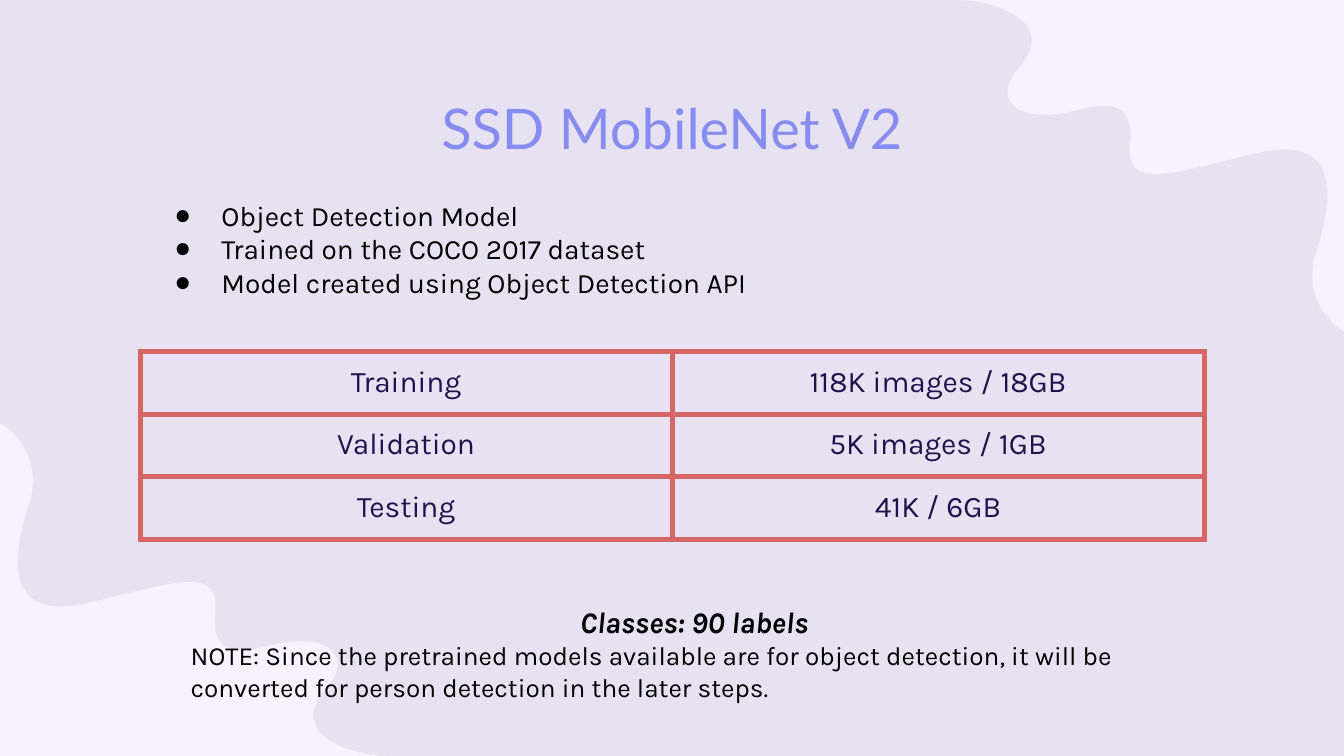
"""Build a slide on the SSD MobileNet V2 model, on a square grid 100 columns wide."""
import dataclasses
import typing

import lxml.etree
import pptx
import pptx.dml.color
import pptx.enum.text
import pptx.oxml.ns
import pptx.util

COLS, ROWS = 100, 56.25
UNIT = pptx.util.Inches(0.1)
HUES = {"ground": "E7E2F2", "wave": "F6F2FF", "title": "878CF0",
        "ink": "000000", "cell": "20124D", "rule": "D66565"}
ALIGN = pptx.enum.text.PP_ALIGN
Point = tuple[float, float]
Part = list[Point]


@dataclasses.dataclass
class Box:
    left: float
    top: float
    width: float
    height: float

    def spans(self) -> list[int]:
        return [round(n * UNIT) for n in (self.left, self.top, self.width, self.height)]


@dataclasses.dataclass
class Style:
    size: float
    hue: str = "ink"
    font: str = "Karla"
    strong: bool = False
    align: typing.Any = ALIGN.LEFT
    bullet: str = ""


class Line(typing.NamedTuple):
    text: str
    style: Style


TITLE = Style(30, "title", "Lato", align=ALIGN.CENTER)
POINT = Style(15, bullet="●")
CELL = Style(16, "cell", align=ALIGN.CENTER)
COUNT = Style(16, strong=True, align=ALIGN.CENTER)
NOTE = Style(14)

FACTS = [Line(text, POINT) for text in (
    "Object Detection Model",
    "Trained on the COCO 2017 dataset",
    "Model created using Object Detection API")]
NOTES = [
    Line("Classes: 90 labels", COUNT),
    Line("NOTE: Since the pretrained models available are for object detection, "
         "it will be converted for person detection in the later steps.", NOTE)]
SPLITS = [("Training", "118K images / 18GB"),
          ("Validation", "5K images / 1GB"),
          ("Testing", "41K / 6GB")]

START = (2.2, 37.4)
WAVE = [
    [START],
    [(1.2, 40.4), (-0.3, 46.4), (6.4, 44.9)],
    [(13.2, 43.3), (16.4, 42), (16, 45.7)],
    [(15.7, 49.1), (18.2, 48.5), (20.2, 48)],
    [(21.7, 47.6), (24.4, 47.4), (25, 48.9)],
    [(25.3, 49.4), (25.1, 50.3), (24.1, 51.4)],
    [(21.4, 54.7), (26.3, ROWS), (28.7, ROWS)],
    [(0, ROWS)],
    [(0, 31.5)],
    [(0, 31.5), (3.4, 33.4), START],
]


def tint(hue: str) -> pptx.dml.color.RGBColor:
    return pptx.dml.color.RGBColor.from_string(HUES[hue])


def add_node(node: typing.Any, tag: str, **attrs: str) -> typing.Any:
    return lxml.etree.SubElement(node, pptx.oxml.ns.qn(tag), **attrs)


def bend(shape: typing.Any, parts: list[Part]) -> None:
    edges = list(shape._element.iter(pptx.oxml.ns.qn("a:lnTo")))
    for edge, part in zip(edges, parts):
        if len(part) == 3:
            curve = add_node(edge.getparent(), "a:cubicBezTo")
            for x, y in part:
                add_node(curve, "a:pt", x=str(round(x * UNIT) - shape.left),
                         y=str(round(y * UNIT) - shape.top))
            edge.getparent().replace(edge, curve)


def draw_wave(slide: typing.Any, parts: list[Part]) -> None:
    ends = [tuple(round(n * UNIT) for n in part[-1]) for part in parts]
    pen = slide.shapes.build_freeform(*ends[0])
    pen.add_line_segments(ends[1:], close=True)
    shape = pen.convert_to_shape()
    bend(shape, parts[1:])
    shape.shadow.inherit = False
    shape.fill.solid()
    shape.fill.fore_color.rgb = tint("wave")
    shape.line.fill.background()


def add_mark(para: typing.Any, style: Style) -> None:
    props = para._p.get_or_add_pPr()
    props.set("marL", str(pptx.util.Inches(0.5)))
    props.set("indent", str(pptx.util.Inches(-0.35)))
    add_node(add_node(props, "a:buClr"), "a:srgbClr", val=HUES[style.hue])
    add_node(props, "a:buFont", typeface="Arial")
    add_node(props, "a:buChar", char=style.bullet)


def write(frame: typing.Any, lines: list[Line]) -> None:
    for index, (text, style) in enumerate(lines):
        para = frame.add_paragraph() if index else frame.paragraphs[0]
        para.alignment = style.align
        if style.bullet:
            add_mark(para, style)
        run = para.add_run()
        run.text = text
        font = run.font
        font.name, font.size = style.font, pptx.util.Pt(style.size)
        font.bold = font.italic = style.strong
        font.color.rgb = tint(style.hue)


def set_frame(shape: typing.Any, lines: list[Line]) -> None:
    frame = shape.text_frame
    frame.word_wrap = True
    frame.auto_size = pptx.enum.text.MSO_AUTO_SIZE.NONE
    frame.vertical_anchor = pptx.enum.text.MSO_ANCHOR.TOP
    frame.margin_left = frame.margin_right = UNIT
    frame.margin_top = frame.margin_bottom = UNIT
    write(frame, lines)


def draw_text(slide: typing.Any, box: Box, lines: list[Line]) -> None:
    set_frame(slide.shapes.add_textbox(*box.spans()), lines)


def rule_cell(cell: typing.Any) -> None:
    props = cell._tc.get_or_add_tcPr()
    for side in ("a:lnL", "a:lnR", "a:lnT", "a:lnB"):
        edge = add_node(props, side, w=str(pptx.util.Pt(3)))
        add_node(add_node(edge, "a:solidFill"), "a:srgbClr", val=HUES["rule"])
    cell.fill.background()


def draw_table(slide: typing.Any, box: Box, rows: list[tuple[str, str]]) -> None:
    table = slide.shapes.add_table(len(rows), len(rows[0]), *box.spans()).table
    table.first_row = table.horz_banding = False
    for r, row in enumerate(rows):
        for c, text in enumerate(row):
            cell = table.cell(r, c)
            cell.margin_left = cell.margin_right = UNIT
            cell.margin_top = cell.margin_bottom = UNIT
            rule_cell(cell)
            write(cell.text_frame, [Line(text, CELL)])


def main() -> None:
    deck = pptx.Presentation()
    deck.slide_width, deck.slide_height = COLS * UNIT, round(ROWS * UNIT)
    slide = deck.slides.add_slide(deck.slide_layouts[5])
    ground = slide.background.fill
    ground.solid()
    ground.fore_color.rgb = tint("ground")

    draw_wave(slide, WAVE)
    draw_wave(slide, [[(COLS + 0.1 - x, ROWS - y) for x, y in part] for part in WAVE])

    title = slide.shapes.title
    slide.shapes._spTree.append(title._element)
    title.left, title.top, title.width, title.height = Box(7.85, 5.95, 84.3, 6.3).spans()
    set_frame(title, [Line("SSD MobileNet V2", TITLE)])

    draw_text(slide, Box(10.5, 13.74, 81.7, 9.6), FACTS)
    draw_table(slide, Box(10.42, 26.15, 79.17, 14), SPLITS)
    draw_text(slide, Box(13.2, 43.94, 76.9, 9.4), NOTES)
    deck.save("out.pptx")


if __name__ == "__main__":
    main()
